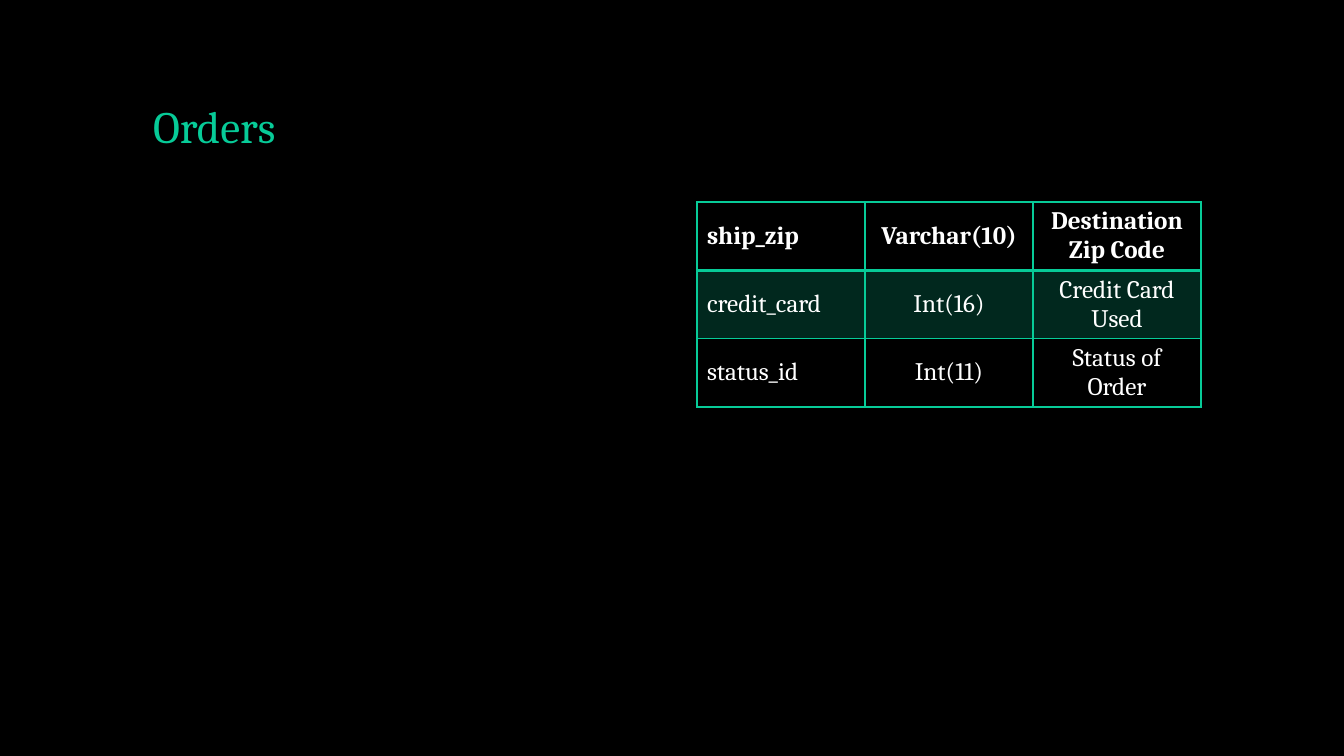
from lxml.etree import SubElement
from pptx import Presentation
from pptx.dml.color import RGBColor
from pptx.enum.text import MSO_ANCHOR, PP_ALIGN
from pptx.oxml.ns import qn
from pptx.util import Pt

PX = 12192000 // 1344
GREEN, WHITE, BLACK = "07CB98", "FFFFFF", "000000"


def color(hex_code):
    return RGBColor.from_string(hex_code)


def add_run(p, text, size, hex_code, bold=False):
    r = p.add_run()
    r.text = text
    r.font.name = "Cambria"
    r.font.size = Pt(size)
    r.font.bold = bold
    r.font.color.rgb = color(hex_code)


prs = Presentation()
prs.slide_width, prs.slide_height = 1344 * PX, 756 * PX
s = prs.slides.add_slide(prs.slide_layouts[5])
s.background.fill.solid()
s.background.fill.fore_color.rgb = color(BLACK)

# Title
title = s.shapes.title
title.left, title.top, title.width, title.height = [v * PX for v in (143, 40, 1058, 118)]
tf = title.text_frame
tf.word_wrap = True
tf.vertical_anchor = MSO_ANCHOR.BOTTOM
p = tf.paragraphs[0]
p.alignment = PP_ALIGN.LEFT
p.line_spacing = 0.9
add_run(p, "Orders", 32, GREEN)

# Table of order fields
fields = [
    ("ship_zip", "Varchar(10)", "Destination Zip Code"),
    ("credit_card", "Int(16)", "Credit Card Used"),
    ("status_id", "Int(11)", "Status of Order"),
]
COL_W, ROW_H = 168, 68
table = s.shapes.add_table(3, 3, 697 * PX, 202 * PX, 3 * COL_W * PX, 3 * ROW_H * PX).table
for col in table.columns:
    col.width = COL_W * PX
for row in table.rows:
    row.height = ROW_H * PX

for i, field in enumerate(fields):
    for j, text in enumerate(field):
        cell = table.cell(i, j)
        cell.vertical_anchor = MSO_ANCHOR.MIDDLE
        p = cell.text_frame.paragraphs[0]
        p.alignment = PP_ALIGN.CENTER if j else PP_ALIGN.LEFT
        add_run(p, text, 18, WHITE, bold=i == 0)

        # Borders, thicker under the header row
        tcPr = cell._tc.get_or_add_tcPr()
        widths = {"L": 1, "R": 1, "T": 2 if i == 1 else 1, "B": 2 if i == 0 else 1}
        for side, width in widths.items():
            ln = SubElement(tcPr, qn(f"a:ln{side}"), w=str(Pt(width)))
            fill = SubElement(ln, qn("a:solidFill"))
            SubElement(fill, qn("a:srgbClr"), val=GREEN)

        # Translucent band on the middle row
        if i == 1:
            cell.fill.solid()
            cell.fill.fore_color.rgb = color(GREEN)
            SubElement(tcPr.find(qn("a:solidFill"))[0], qn("a:alpha"), val="20000")
        else:
            cell.fill.background()

prs.save("out.pptx")
